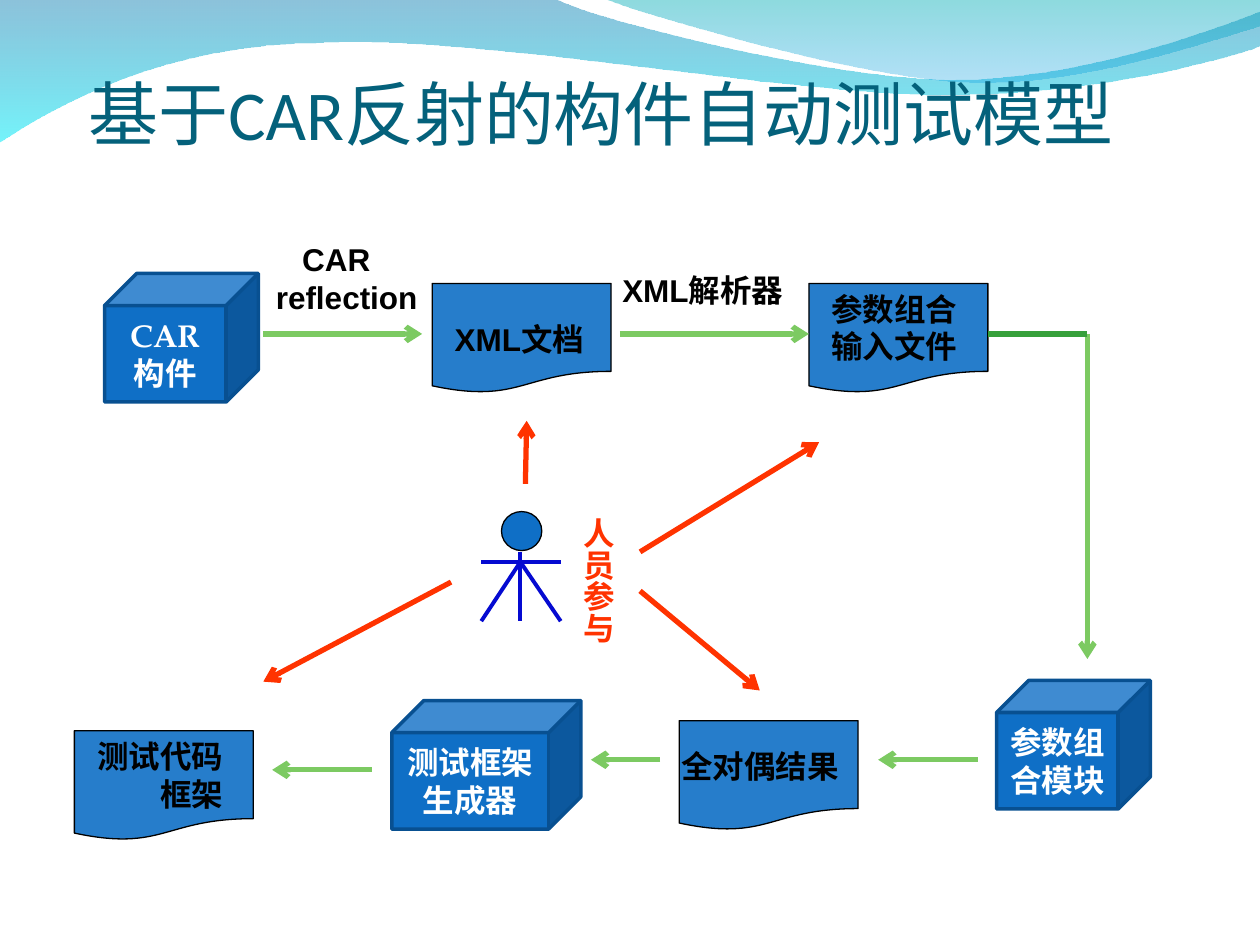
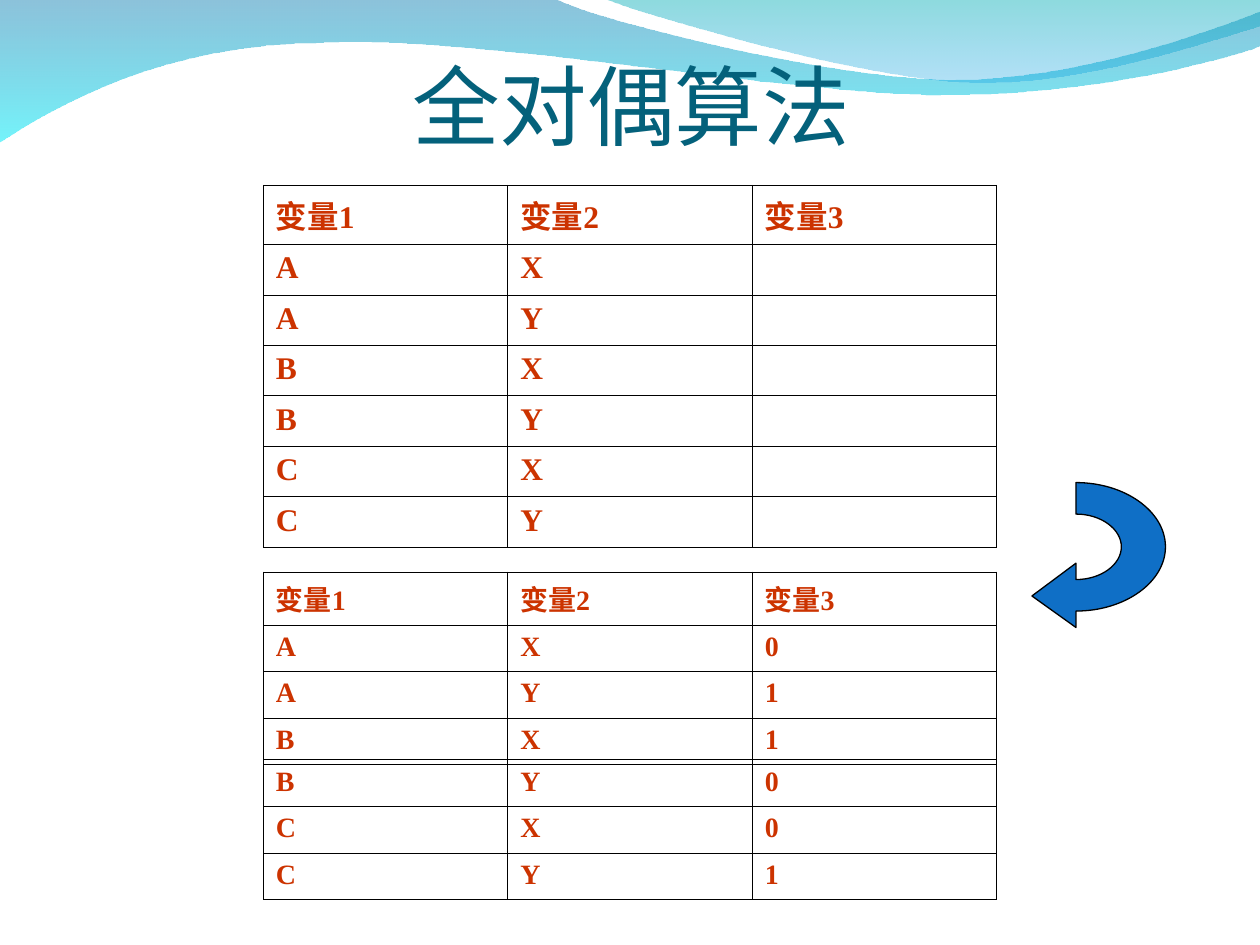
from dataclasses import dataclass

from lxml import etree
from pptx import Presentation
from pptx.dml.color import RGBColor
from pptx.enum.shapes import MSO_CONNECTOR, MSO_SHAPE
from pptx.enum.text import MSO_ANCHOR, PP_ALIGN
from pptx.oxml.ns import qn
from pptx.util import Inches, Pt

CUBE, DOCUMENT, ELLIPSE = MSO_SHAPE.CUBE, MSO_SHAPE.FLOWCHART_DOCUMENT, MSO_SHAPE.OVAL
STRAIGHT = MSO_CONNECTOR.STRAIGHT
LEFT, CENTER, RIGHT = PP_ALIGN.LEFT, PP_ALIGN.CENTER, PP_ALIGN.RIGHT
TOP, MIDDLE, BOTTOM = MSO_ANCHOR.TOP, MSO_ANCHOR.MIDDLE, MSO_ANCHOR.BOTTOM


@dataclass(frozen=True)
class Theme:
    title: str = "04617B"
    blue: str = "0F6FC6"
    cube_edge: str = "085091"
    flow: str = "7CCA62"
    flow_dark: str = "36A03B"
    person: str = "FF3300"
    limbs: str = "050AD1"
    table_text: str = "CC3300"
    black: str = "000000"
    white: str = "FFFFFF"
    title_font: str = "Calibri"
    label_font: str = "Arial"
    cube_font: str = "TeX Gyre Pagella"
    table_font: str = "Times New Roman"
    body_size: int = 18
    small_size: int = 16


THEME = Theme()

# Outlines: a start point, then points (2 numbers) or curves (6 numbers)
BANDS = [
    ([(0, -0.01), (4.4, -0.01), (4.76, 0.17, 6.64, 0.63, 7.58, 0.63),
      (8.53, 0.63, 9.58, 0.26, 10, 0.09), (10.01, 0.36),
      (9.83, 0.44, 8.7, 0.76, 7.46, 0.75), (6.22, 0.75, 3.82, 0.28, 2.57, 0.34),
      (1.29, 0.35, 0.46, 0.83, -0.01, 1.13), (0, -0.01)],
     [("0079AF", 45), ("00EBF8", 55)]),
    ([(4.79, -0.01), (5.09, 0.11, 6.82, 0.62, 7.69, 0.65),
      (8.56, 0.69, 9.61, 0.32, 10, 0.21), (10, 0), (4.79, -0.01)],
     [("00ADB6", 45), ("009BE5", 30)]),
]
TURN_ARROW = [(8.54, 4.6), (8.74, 4.6, 8.9, 4.48, 8.9, 4.34),
              (8.9, 4.2, 8.74, 4.08, 8.54, 4.08), (8.54, 3.83),
              (8.93, 3.83, 9.25, 4.06, 9.25, 4.34),
              (9.25, 4.62, 8.93, 4.85, 8.54, 4.85),
              (8.54, 4.98), (8.19, 4.73), (8.54, 4.47)]

# Slide 1: test model
MODEL_TITLE = ("基于CAR反射的构件自动测试模型", (0.27, 0.21, 9, 1.02), 40)
CUBES = [
    ("CAR构件", (0.83, 2.17, 1.22, 1.02)),
    ("参数组合模块", (7.91, 5.4, 1.22, 1.02)),
    ("测试框架生成器", (3.11, 5.56, 1.5, 1.02)),
]
DOCUMENT_SIZE = (1.42, 0.87)
DOCUMENTS = [(3.43, 2.25), (6.42, 2.25), (5.39, 5.72), (0.59, 5.8)]
LABELS = [
    ("CAR reflection", (2.09, 1.86, 1.65, 0.7), {"indent": 0.21}),
    ("XML文档", (3.51, 2.49, 1.34, 0.86), {}),
    ("XML解析器", (4.84, 2.1, 1.65, 0.4), {}),
    ("参数组合输入文件", (6.5, 2.25, 1.34, 1.16), {}),
    ("全对偶结果", (5.31, 5.88, 1.58, 0.86), {}),
    ("测试代码框架", (0.67, 5.8, 1.26, 1.16),
     {"align": RIGHT, "insets": (0.05, 0.05, 0.16, 0.05)}),
    ("人员参与", (4.45, 4.01, 0.5, 1.26),
     {"color": THEME.person, "insets": (0.05, 0.1, 0.05, 0.1), "vertical": True}),
]
FLOW_ARROWS = [
    (2.09, 2.65, 3.35, 2.65), (4.92, 2.65, 6.42, 2.65), (8.63, 2.65, 8.63, 5.23),
    (7.76, 6.03, 6.97, 6.03), (5.24, 6.03, 4.69, 6.03), (2.95, 6.11, 2.16, 6.11),
]
FLOW_ELBOW = (7.84, 2.65, 8.63, 2.65)
PERSON_ARROWS = [
    (3.58, 4.62, 2.09, 5.41), (4.17, 3.84, 4.18, 3.34),
    (5.08, 4.38, 6.5, 3.51), (5.08, 4.69, 6.03, 5.48),
]
HEAD = (3.98, 4.06, 0.32, 0.31)
LIMBS = [(3.82, 4.46, 4.45, 4.46), (4.13, 4.38, 4.13, 4.93),
         (4.13, 4.46, 3.82, 4.93), (4.13, 4.46, 4.45, 4.93)]

# Slide 2: pairwise algorithm
PAIRS_TITLE = ("全对偶算法", (0.51, 0, 9, 1.25), 50)
HEADER = ("变量1", "变量2", "变量3")
PAIRS = [(first, second) for first in "ABC" for second in "XY"]
FILLED = [pair + (value,) for pair, value in zip(PAIRS, "011001")]
TABLE_LEFT, COLUMN_WIDTH = 2.09, 1.94
TABLES = [  # top, first row height, row height, type size, rows
    (1.47, 0.47, 0.4, THEME.body_size, [HEADER] + [pair + ("",) for pair in PAIRS]),
    (4.54, 0.42, 0.37, THEME.small_size, [HEADER] + FILLED[:3]),
    (6.03, 0.37, 0.37, THEME.small_size, FILLED[3:]),
]


def rgb(color):
    return RGBColor.from_string(color)


def inches(values):
    return [Inches(value) for value in values]


def set_fill(shape, color):
    shape.shadow.inherit = False
    shape.fill.solid()
    shape.fill.fore_color.rgb = rgb(color)


def set_line(shape, color, width):
    shape.line.color.rgb = rgb(color)
    shape.line.width = Pt(width)


def set_opacity(shape, percents):
    """Give each fill colour its opacity; call before the line is coloured."""
    colors = shape.element.spPr.iter(qn("a:srgbClr"))
    for color, percent in zip(colors, percents):
        etree.SubElement(color, qn("a:alpha"), val=str(percent * 1000))


def write(frame, text, size, font, color, align=LEFT, bold=True):
    para = frame.paragraphs[0]
    para.alignment = align
    span = para.add_run()
    span.text = text
    span.font.size = Pt(size)
    span.font.name = font
    span.font.bold = bold
    span.font.color.rgb = rgb(color)
    return para


def add_box(page, place, insets=(0.1, 0.05, 0.1, 0.05), anchor=TOP):
    frame = page.shapes.add_textbox(*inches(place)).text_frame
    frame.word_wrap = True
    frame.vertical_anchor = anchor
    (frame.margin_left, frame.margin_top,
     frame.margin_right, frame.margin_bottom) = inches(insets)
    return frame


def add_title(page, text, place, size):
    frame = add_box(page, place, (0, 0.05, 0, 0), BOTTOM)
    write(frame, text, size, THEME.title_font, THEME.title, CENTER, bold=False)


def add_label(page, text, place, insets=(0.1, 0.05, 0.1, 0.05), color=THEME.black,
              align=LEFT, indent=0, vertical=False):
    frame = add_box(page, place, insets)
    para = write(frame, text, THEME.body_size, THEME.label_font, color, align)
    if indent:
        para._p.get_or_add_pPr().set("indent", str(Inches(indent)))
    if vertical:
        frame._txBody.bodyPr.set("vert", "eaVert")


def add_preset(page, kind, place, edge=THEME.black, width=0.75, opacity=100):
    shape = page.shapes.add_shape(kind, *inches(place))
    set_fill(shape, THEME.blue)
    if opacity < 100:
        set_opacity(shape, [opacity])
    set_line(shape, edge, width)
    return shape


def add_line(page, ends, color, width=3, arrow=True):
    line = page.shapes.add_connector(STRAIGHT, *inches(ends))
    set_line(line, color, width)
    if arrow:
        etree.SubElement(line.line._get_or_add_ln(), qn("a:tailEnd"), type="arrow")
    etree.SubElement(line.element.spPr, qn("a:effectLst"))


def add_outline(page, outline):
    """Build the outline from all its points, then join each curve's three."""
    points = [inches(part[at:at + 2]) for part in outline for at in range(0, len(part), 2)]
    builder = page.shapes.build_freeform(*points[0])
    builder.add_line_segments(points[1:], close=True)
    shape = builder.convert_to_shape()
    shape.shadow.inherit = False
    segments = iter(list(shape.element.spPr.iter(qn("a:lnTo"))))
    for part in outline[1:]:
        segment = next(segments)
        if len(part) == 6:
            curve = etree.Element(qn("a:cubicBezTo"))
            segment.addprevious(curve)
            for step in (segment, next(segments), next(segments)):
                curve.append(step[0])
                step.getparent().remove(step)
    return shape


def add_bands(page, layout):
    """Draw the wave bands and move them to the layout, so every slide has them."""
    for placeholder in list(layout.placeholders):
        layout.shapes.element.remove(placeholder.element)
    for outline, stops in BANDS:
        band = add_outline(page, outline)
        band.fill.gradient()
        band.fill.gradient_angle = 270
        for stop, (color, _), position in zip(band.fill.gradient_stops, stops, (0, 1)):
            stop.color.rgb = rgb(color)
            stop.position = position
        set_opacity(band, [percent for _, percent in stops])
        band.line.fill.background()
        layout.shapes.element.append(band.element)


def add_borders(cell):
    properties = cell._tc.get_or_add_tcPr()
    for side in ("a:lnL", "a:lnR", "a:lnT", "a:lnB"):
        border = etree.SubElement(properties, qn(side), w=str(Pt(0.45)))
        fill = etree.SubElement(border, qn("a:solidFill"))
        etree.SubElement(fill, qn("a:srgbClr"), val=THEME.black)


def add_grid(page, top, first_height, row_height, size, rows):
    count = len(rows[0])
    heights = [first_height] + [row_height] * (len(rows) - 1)
    place = (TABLE_LEFT, top, COLUMN_WIDTH * count, sum(heights))
    table = page.shapes.add_table(len(rows), count, *inches(place)).table
    table.first_row = table.horz_banding = False
    for row, height, texts in zip(table.rows, heights, rows):
        row.height = Inches(height)
        for cell, text in zip(row.cells, texts):
            add_borders(cell)
            cell.fill.background()
            if text:
                write(cell.text_frame, text, size, THEME.table_font, THEME.table_text)


def draw_model(page):
    add_title(page, *MODEL_TITLE)
    # Components and files
    for text, place in CUBES:
        cube = add_preset(page, CUBE, place, THEME.cube_edge, 2)
        cube.text_frame.vertical_anchor = MIDDLE
        write(cube.text_frame, text, THEME.body_size, THEME.cube_font, THEME.white, CENTER)
    for corner in DOCUMENTS:
        add_preset(page, DOCUMENT, corner + DOCUMENT_SIZE, opacity=90)
    # Person
    add_preset(page, ELLIPSE, HEAD)
    for limb in LIMBS:
        add_line(page, limb, THEME.limbs, 2.25, arrow=False)
    # Arrows and labels
    for ends in FLOW_ARROWS:
        add_line(page, ends, THEME.flow)
    add_line(page, FLOW_ELBOW, THEME.flow_dark, arrow=False)
    for ends in PERSON_ARROWS:
        add_line(page, ends, THEME.person)
    for text, place, options in LABELS:
        add_label(page, text, place, **options)


def draw_pairs(page):
    add_title(page, *PAIRS_TITLE)
    for grid in TABLES:
        add_grid(page, *grid)
    arrow = add_outline(page, TURN_ARROW)
    set_fill(arrow, THEME.blue)
    set_line(arrow, THEME.black, 0.75)


def main():
    deck = Presentation()
    deck.slide_width, deck.slide_height = Inches(10), Inches(7.5)
    blank = deck.slide_layouts[6]
    pages = [deck.slides.add_slide(blank) for _ in range(2)]
    add_bands(pages[0], blank)
    draw_model(pages[0])
    draw_pairs(pages[1])
    deck.save("out.pptx")


if __name__ == "__main__":
    main()
